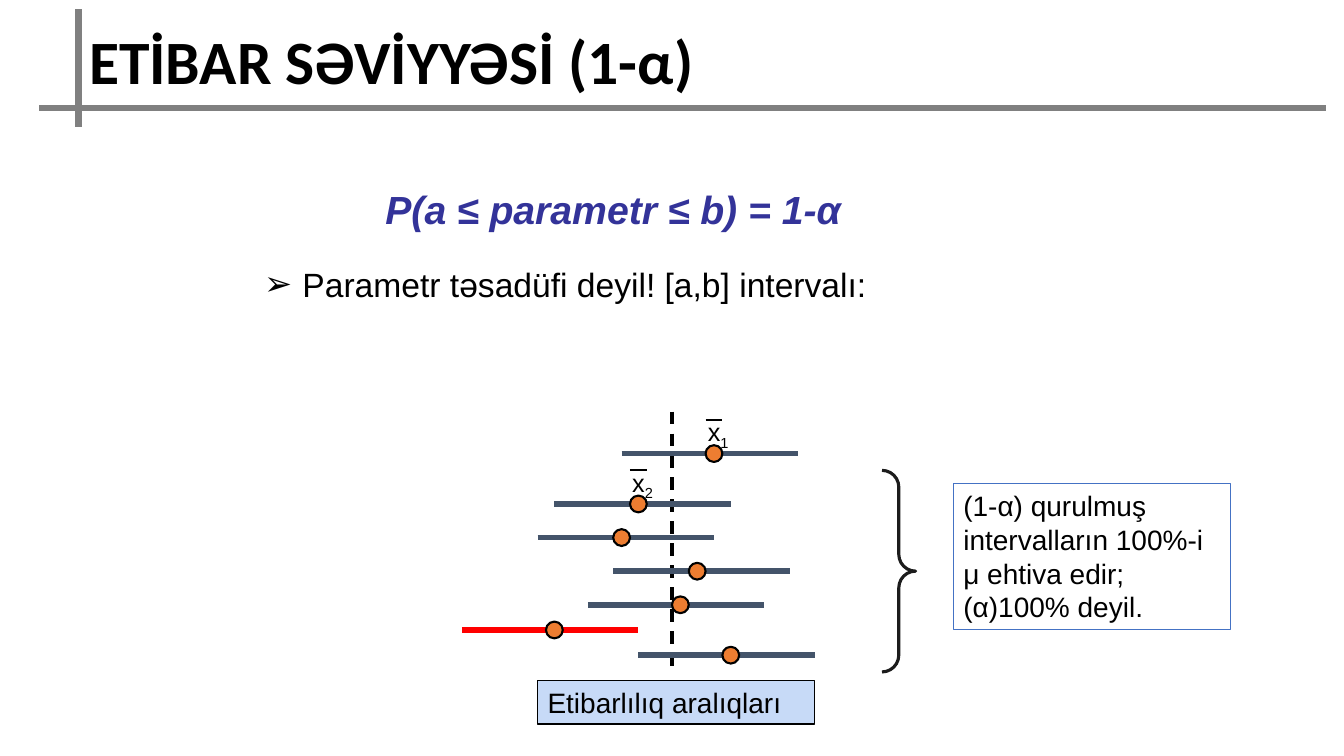
"""Build the slide on confidence level and confidence intervals."""
from lxml import etree
from pptx import Presentation
from pptx.dml.color import RGBColor
from pptx.enum.dml import MSO_LINE
from pptx.enum.shapes import MSO_CONNECTOR, MSO_SHAPE
from pptx.enum.text import MSO_ANCHOR, MSO_AUTO_SIZE, PP_ALIGN
from pptx.oxml.ns import qn
from pptx.util import Inches, Pt

STRAIGHT = MSO_CONNECTOR.STRAIGHT
RECTANGLE, OVAL, BRACE = MSO_SHAPE.RECTANGLE, MSO_SHAPE.OVAL, MSO_SHAPE.RIGHT_BRACE
LEFT, CENTER = PP_ALIGN.LEFT, PP_ALIGN.CENTER
TOP, MIDDLE = MSO_ANCHOR.TOP, MSO_ANCHOR.MIDDLE
NO_FIT, DASH = MSO_AUTO_SIZE.NONE, MSO_LINE.DASH

COLUMNS, ROWS = 160, 90
BLACK, GREY, SLATE, RED = "000000", "808080", "44546A", "FF0000"
ORANGE, INDIGO, PALE_BLUE, BLUE, CHARCOAL = "ED7D31", "333399", "C7DAF7", "4472C4", "1C1C1C"

TITLE = "ETİBAR SƏVİYYƏSİ (1-α)"
FORMULA = "P(a ≤ parametr ≤ b) = 1-α"
STATEMENT = "Parametr təsadüfi deyil! [a,b] intervalı:"
CAPTION = "Etibarlılıq aralıqları"
NOTE = ["(1-α) qurulmuş intervalların 100%-i μ ehtiva edir;", "(α)100% deyil."]

INTERVAL_LENGTH = 21
INTERVALS = [
    {"start": 74, "mean": 85, "row": 54, "label": "1"},
    {"start": 66, "mean": 76, "row": 60, "label": "2"},
    {"start": 64, "mean": 74, "row": 64},
    {"start": 73, "mean": 83, "row": 68},
    {"start": 70, "mean": 81, "row": 72},
    {"start": 55, "mean": 66, "row": 75, "color": RED},
    {"start": 76, "mean": 87, "row": 78},
]
PARAMETER_COLUMN = 80

presentation = Presentation()
presentation.slide_width = Inches(40 / 3)
presentation.slide_height = Inches(7.5)
CELL = presentation.slide_height / ROWS
slide = presentation.slides.add_slide(presentation.slide_layouts[1])


def grid(*cells):
    return [round(cell * CELL) for cell in cells]


def rgb(color):
    return RGBColor.from_string(color)


def place(shape, left, top, width, height):
    shape.left, shape.top, shape.width, shape.height = grid(left, top, width, height)


def add_line(start, end, color, width, dash=None):
    line = slide.shapes.add_connector(STRAIGHT, *grid(*start, *end))
    line.line.color.rgb = rgb(color)
    line.line.width = Pt(width)
    if dash:
        line.line.dash_style = dash
    etree.SubElement(line._element.spPr, qn("a:effectLst"))


def add_outline(kind, box, fill, color, width):
    shape = slide.shapes.add_shape(kind, *grid(*box))
    shape.shadow.inherit = False
    if fill:
        shape.fill.solid()
        shape.fill.fore_color.rgb = rgb(fill)
    else:
        shape.fill.background()
    shape.line.color.rgb = rgb(color)
    shape.line.width = Pt(width)
    return shape


def add_run(paragraph, text, size, color=BLACK, font="Arial", bold=False, italic=False):
    run = paragraph.add_run()
    run.text = text
    run.font.name, run.font.size = font, Pt(size)
    run.font.bold, run.font.italic = bold, italic
    run.font.color.rgb = rgb(color)
    return run


def first_paragraph(shape, align=LEFT, anchor=TOP, wrap=True):
    frame = shape.text_frame
    frame.word_wrap, frame.auto_size = wrap, NO_FIT
    frame.vertical_anchor = anchor
    paragraph = frame.paragraphs[0]
    paragraph.alignment = align
    paragraph.space_before = Pt(0)
    return paragraph


def add_bullet(paragraph, character, indent):
    properties = paragraph._p.get_or_add_pPr()
    properties.set("marL", str(indent))
    properties.set("indent", str(-indent))
    etree.SubElement(properties, qn("a:buFont"), typeface="Arial")
    etree.SubElement(properties, qn("a:buChar"), char=character)


def add_mean_label(mean, row, index):
    box = slide.shapes.add_textbox(*grid(mean - 3, row - 5, 7, 4.8))
    paragraph = first_paragraph(box, CENTER)
    add_run(paragraph, "x", 18)
    subscript = add_run(paragraph, index, 18)
    subscript._r.get_or_add_rPr().set("baseline", "-25000")
    add_line((mean - 1, row - 4), (mean + 1, row - 4), BLACK, 1.5)


def build_heading():
    title, body = slide.placeholders
    place(title, 9.4, 2.05, 150, 10.1)
    add_run(first_paragraph(title, anchor=MIDDLE), TITLE, 44, font="Calibri", bold=True)
    add_line((4.7, 12.85), (157.9, 12.85), GREY, 4.5)
    add_line((9.35, 1.1), (9.35, 15.1), GREY, 4.5)

    place(body, 30.25, 30.85, 102, 6)
    statement = first_paragraph(body)
    add_bullet(statement, "➢", Inches(0.38))
    add_run(statement, STATEMENT, 24)

    formula = slide.shapes.add_textbox(*grid(44.3, 21.5, 57.4, 6.8))
    add_run(first_paragraph(formula, CENTER, wrap=False), FORMULA, 28, INDIGO, bold=True, italic=True)


def build_intervals():
    add_line((PARAMETER_COLUMN, 49), (PARAMETER_COLUMN, 80), BLACK, 2.25, DASH)
    for interval in INTERVALS:
        start, row = interval["start"], interval["row"]
        add_line((start, row), (start + INTERVAL_LENGTH, row), interval.get("color", SLATE), 4)
    for interval in INTERVALS:
        mean, row = interval["mean"], interval["row"]
        if "label" in interval:
            add_mean_label(mean, row, interval["label"])
        add_outline(OVAL, (mean - 1, row - 1, 2, 2), ORANGE, BLACK, 1.5)
    caption = add_outline(RECTANGLE, (64, 81, 33, 5.2), PALE_BLUE, BLACK, 1)
    add_run(first_paragraph(caption), CAPTION, 20)


def build_note():
    brace = add_outline(BRACE, (105, 56, 4, 24), None, CHARCOAL, 2.25)
    brace.adjustments[0] = 0.5
    note = add_outline(RECTANGLE, (113.5, 57.6, 33, 17.4), None, BLUE, 0.75)
    paragraph = first_paragraph(note)
    add_run(paragraph, NOTE[0], 20)
    for text in NOTE[1:]:
        paragraph = note.text_frame.add_paragraph()
        paragraph.alignment = LEFT
        add_run(paragraph, text, 20)


build_heading()
build_intervals()
build_note()
presentation.save("out.pptx")
